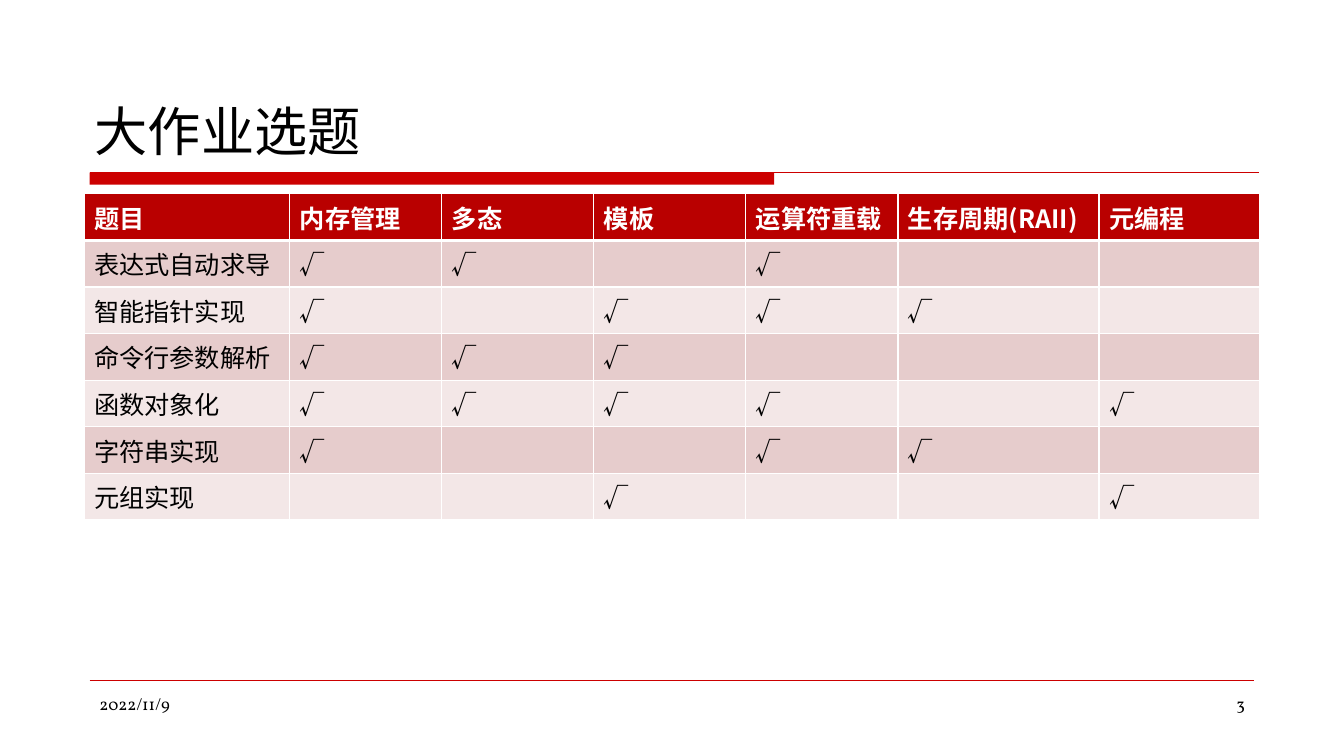
"""Build the slide that matches project topics with the C++ features they use."""
import pptx
import pptx.chart.data
import pptx.dml.color
import pptx.enum.shapes
import pptx.enum.text
import pptx.oxml
import pptx.oxml.ns
import pptx.util

Pt = pptx.util.Pt
RGBColor = pptx.dml.color.RGBColor
Align = pptx.enum.text.PP_ALIGN
Anchor = pptx.enum.text.MSO_ANCHOR

RED = RGBColor(0xCC, 0x00, 0x00)
HEADER_RED = RGBColor(0xB9, 0x00, 0x00)
DARK_PINK = RGBColor(0xE6, 0xCC, 0xCC)
LIGHT_PINK = RGBColor(0xF3, 0xE7, 0xE7)
WHITE = RGBColor(0xFF, 0xFF, 0xFF)
BLACK = RGBColor(0x00, 0x00, 0x00)
SERIF = "Vollkorn"
SANS = "Noto Sans CJK SC"


def write(text_frame, text, color, alignment=Align.LEFT, **font_values):
    paragraph = text_frame.paragraphs[0]
    paragraph.alignment = alignment
    run = paragraph.add_run()
    run.text = text
    for name, value in font_values.items():
        setattr(run.font, name, value)
    run.font.color.rgb = color
    east_asian = pptx.oxml.parse_xml(f'<a:ea {pptx.oxml.ns.nsdecls("a")} typeface="{SANS}"/>')
    run.font._element.find(pptx.oxml.ns.qn("a:latin")).addnext(east_asian)


def add_border(cell, side, width):
    cell._tc.get_or_add_tcPr().append(pptx.oxml.parse_xml(
        f'<a:ln{side} {pptx.oxml.ns.nsdecls("a")} w="{Pt(width)}">'
        f'<a:solidFill><a:srgbClr val="{WHITE}"/></a:solidFill></a:ln{side}>'))


presentation = pptx.Presentation()
presentation.slide_width = Pt(960)
presentation.slide_height = Pt(540)
slide = presentation.slides.add_slide(presentation.slide_layouts[5])

bar = slide.shapes.add_shape(
    pptx.enum.shapes.MSO_SHAPE.RECTANGLE, Pt(64), Pt(123.4), Pt(489), Pt(8.6))
bar.shadow.inherit = False
bar.fill.solid()
bar.fill.fore_color.rgb = RED
bar.line.fill.background()

for right, y, width in [(899.3, 123.4, 0.75), (895.7, 486, 0.25)]:
    rule = slide.shapes.add_connector(
        pptx.enum.shapes.MSO_CONNECTOR.STRAIGHT, Pt(64), Pt(y), Pt(right), Pt(y))
    rule.line.color.rgb = RED
    rule.line.width = Pt(width)
    rule._element.spPr.append(
        pptx.oxml.parse_xml(f'<a:effectLst {pptx.oxml.ns.nsdecls("a")}/>'))

title = slide.shapes.title
title_place = {"left": Pt(60.5), "top": Pt(23.8), "width": Pt(840), "height": Pt(95.8)}
for name, value in title_place.items():
    setattr(title, name, value)
title_format = {"vertical_anchor": Anchor.BOTTOM, "word_wrap": True,
                "auto_size": pptx.enum.text.MSO_AUTO_SIZE.NONE}
for name, value in title_format.items():
    setattr(title.text_frame, name, value)
write(title.text_frame, "大作业选题", BLACK, name=SERIF, size=Pt(38))

headers = ["题目", "内存管理", "多态", "模板", "运算符重载", "生存周期(RAII)", "元编程"]
topics = [
    ("表达式自动求导", {"内存管理", "多态", "运算符重载"}),
    ("智能指针实现", {"内存管理", "模板", "运算符重载", "生存周期(RAII)"}),
    ("命令行参数解析", {"内存管理", "多态", "模板"}),
    ("函数对象化", {"内存管理", "多态", "模板", "运算符重载", "元编程"}),
    ("字符串实现", {"内存管理", "运算符重载", "生存周期(RAII)"}),
    ("元组实现", {"模板", "元编程"}),
]
rows = [headers] + [
    [topic] + ["√" if header in features else "" for header in headers[1:]]
    for topic, features in topics]
column_widths = [147] + [108.6] * 4 + [143.7, 115]

table = slide.shapes.add_table(
    len(rows), len(headers), Pt(60), Pt(138.5), Pt(840), Pt(204.4)).table
for column, width in zip(table.columns, column_widths):
    column.width = Pt(width)
for row_index, texts in enumerate(rows):
    table.rows[row_index].height = Pt(29.2)
    is_header = row_index == 0
    fill_color = HEADER_RED if is_header else DARK_PINK if row_index % 2 else LIGHT_PINK
    for column_index, text in enumerate(texts):
        cell = table.cell(row_index, column_index)
        borders = {"L": 1, "R": 1, "T": 3 if row_index == 1 else 1, "B": 3 if is_header else 1}
        for side, width in borders.items():
            add_border(cell, side, width)
        cell.fill.solid()
        cell.fill.fore_color.rgb = fill_color
        if text:
            write(cell.text_frame, text, WHITE if is_header else BLACK,
                  name=SANS, size=Pt(18), bold=is_header)

for left, text, alignment in [(64, "2022/11/9", Align.LEFT), (688.3, "3", Align.RIGHT)]:
    footer = slide.shapes.add_textbox(Pt(left), Pt(492), Pt(208), Pt(37.5))
    footer.text_frame.word_wrap = True
    write(footer.text_frame, text, BLACK, alignment, name=SERIF, size=Pt(12))

presentation.save("out.pptx")
